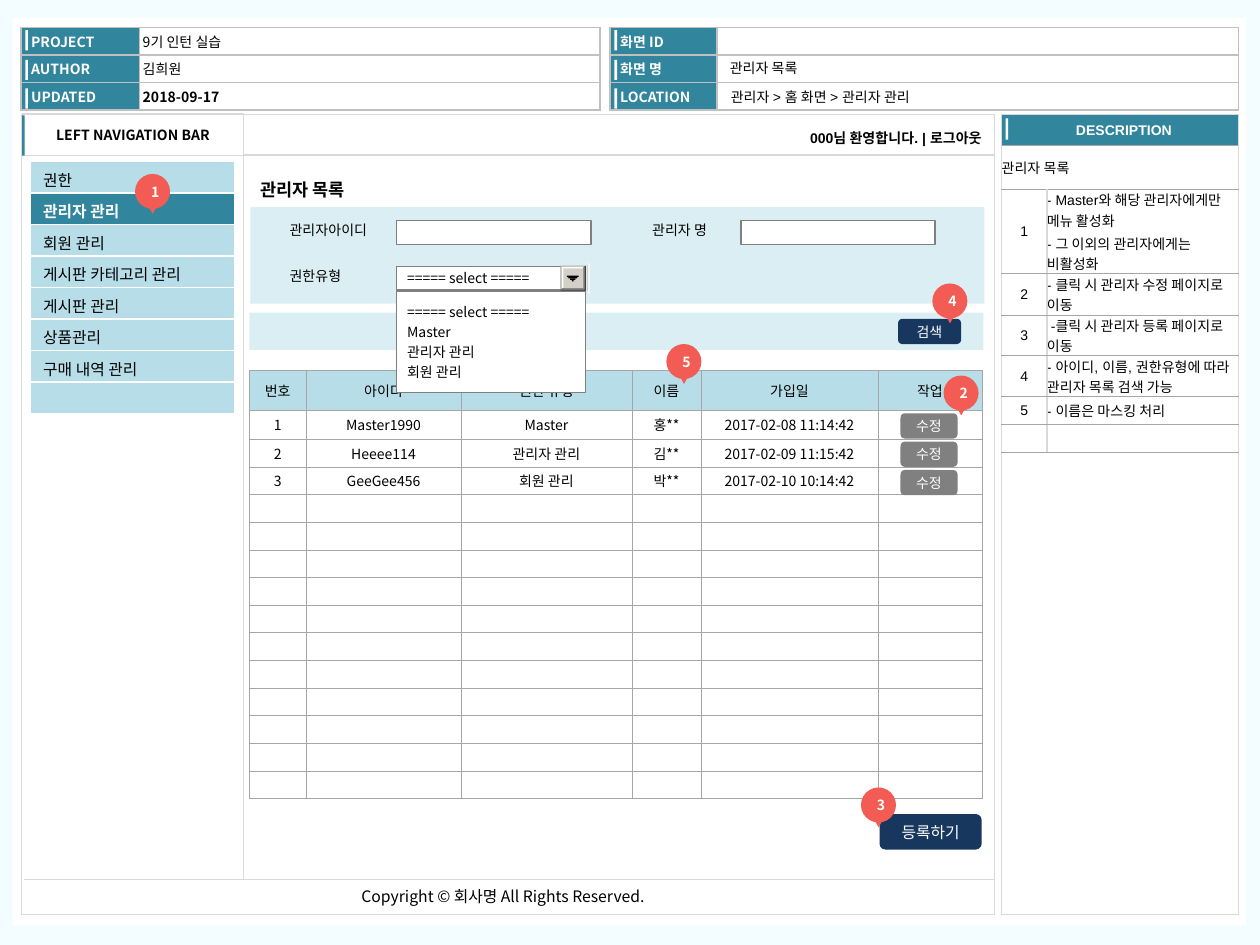
from lxml.etree import SubElement
from pptx import Presentation
from pptx.dml.color import RGBColor
from pptx.enum.shapes import MSO_CONNECTOR as CONN, MSO_SHAPE as SHAPE
from pptx.enum.text import MSO_ANCHOR as ANCHOR, PP_ALIGN as ALIGN
from pptx.oxml.ns import qn
from pptx.util import Pt

NOTO, ARIAL = "Noto Sans CJK KR", "Arial"
TEAL, SKY, PALE, NAVY, RED = "31859C", "B7DEE8", "DBEEF4", "17375E", "F25C54"
WHITE, BLACK, GREY, LIGHT = "FFFFFF", "000000", "808080", "D9D9D9"
SILVER, RULE, FACE, DARK = "C0C0C0", "A6A6A6", "D4D0C8", "404040"


def rgb(color):
    return RGBColor.from_string(color)


def put_text(tf, text, size=8, color=BLACK, bold=False, align=ALIGN.LEFT, font=NOTO, before=0):
    """Fill a text frame, one paragraph for each line of text."""
    for i, line in enumerate(text.split("\n")):
        p = tf.paragraphs[0] if i == 0 else tf.add_paragraph()
        p.alignment = align
        p.space_before = Pt(before)
        r = p.add_run()
        r.text = line
        r.font.name, r.font.size, r.font.bold = font, Pt(size), bold
        r.font.color.rgb = rgb(color)
        SubElement(r.font._element, qn("a:ea"), typeface=NOTO)


def set_margins(obj, left, top, right, bottom):
    obj.margin_left, obj.margin_top = Pt(left), Pt(top)
    obj.margin_right, obj.margin_bottom = Pt(right), Pt(bottom)


def add_shape(shapes, x, y, w, h, fill=None, line=None, kind=SHAPE.RECTANGLE):
    s = shapes.add_shape(kind, Pt(x), Pt(y), Pt(w), Pt(h))
    s.shadow.inherit = False
    if fill:
        s.fill.solid()
        s.fill.fore_color.rgb = rgb(fill)
    else:
        s.fill.background()
    if line:
        s.line.color.rgb = rgb(line)
        s.line.width = Pt(0.75)
    else:
        s.line.fill.background()
    s.text_frame.vertical_anchor = ANCHOR.MIDDLE
    return s


def add_label(shapes, x, y, w, h, text, margins=(7.2, 3.6), wrap=False, **style):
    tf = shapes.add_textbox(Pt(x), Pt(y), Pt(w), Pt(h)).text_frame
    tf.word_wrap = wrap
    set_margins(tf, *margins, *margins)
    put_text(tf, text, **style)


def add_line(shapes, x1, y1, x2, y2, width=1):
    c = shapes.add_connector(CONN.STRAIGHT, Pt(x1), Pt(y1), Pt(x2), Pt(y2))
    c.line.color.rgb = rgb(LIGHT)
    c.line.width = Pt(width)
    SubElement(c._element.spPr, qn("a:effectLst"))


def add_button(shapes, x, y, w, h, text, fill, size=8):
    tf = add_shape(shapes, x, y, w, h, fill, kind=SHAPE.ROUNDED_RECTANGLE).text_frame
    set_margins(tf, 0, 0, 0, 0)
    put_text(tf, text, size, WHITE, align=ALIGN.CENTER)


def add_callout(shapes, x, y, number):
    """Add a numbered red pin."""
    pin = shapes.add_group_shape().shapes
    tf = add_shape(pin, x, y, 20, 20, RED, kind=SHAPE.OVAL).text_frame
    tf.word_wrap = False
    set_margins(tf, 3, 0, 0, 0)
    put_text(tf, str(number), 8, WHITE, True, ALIGN.CENTER)
    add_shape(pin, x + 6.8, y + 17, 6.5, 5.8, RED, kind=SHAPE.ISOSCELES_TRIANGLE).rotation = 180


def add_table(shapes, x, y, cols, rows):
    frame = shapes.add_table(len(rows), len(cols), Pt(x), Pt(y), Pt(sum(cols)), Pt(sum(rows)))
    table = frame.table
    table.first_row = table.horz_banding = False
    for col, width in zip(table.columns, cols):
        col.width = Pt(width)
    for row, height in zip(table.rows, rows):
        row.height = Pt(height)
    return table


def set_cell(cell, text="", fill=None, sides=(SILVER, 1), rules=None, margins=(0, 0, 0, 0), **style):
    """Style a cell; sides and rules are (colour, width) of its upright and level borders."""
    tc_pr = cell._tc.get_or_add_tcPr()
    for tag, (color, width) in zip("LRTB", (sides, sides, rules or sides, rules or sides)):
        ln = SubElement(tc_pr, qn("a:ln" + tag), w=str(Pt(width)))
        SubElement(SubElement(ln, qn("a:solidFill")), qn("a:srgbClr"), val=color)
    if fill:
        cell.fill.solid()
        cell.fill.fore_color.rgb = rgb(fill)
    else:
        cell.fill.background()
    set_margins(cell, *margins)
    cell.vertical_anchor = ANCHOR.MIDDLE
    if text:
        put_text(cell.text_frame, text, **style)
    else:
        cell.text_frame.paragraphs[0]._p.get_or_add_endParaRPr().set("sz", "800")


def add_info(shapes, x, cols, rows):
    """Add a block of project facts with a white tick before each heading."""
    table = add_table(shapes, x, 15.8, cols, [15.7] * 3)
    for i, (heading, value) in enumerate(rows):
        set_cell(table.cell(i, 0), heading, TEAL, margins=(5.8, 0, 2, 0), color=WHITE, bold=True, before=1.6)
        set_cell(table.cell(i, 1), value, WHITE, margins=(2, 0, 2, 0), bold=i == 2, before=1.6)
    for y in (17.3, 34.2, 50.6):
        add_shape(shapes, x + 2.5, y, 1.5, 11.5, WHITE)


def add_navigation(shapes):
    box = add_shape(shapes, 13, 65, 126, 23.8, line=LIGHT)
    put_text(box.text_frame, "LEFT NAVIGATION BAR", bold=True, align=ALIGN.CENTER)
    add_shape(shapes, 12.6, 66, 1.5, 23, TEAL)
    items = ["권한", "관리자 관리", "회원 관리", "게시판 카테고리 관리", "게시판 관리", "상품관리", "구매 내역 관리", ""]
    table = add_table(shapes, 17.5, 92.4, [116.6], [18] * len(items))
    for i, item in enumerate(items):
        active = i == 1
        set_cell(table.cell(i, 0), item, TEAL if active else SKY, (WHITE, 1), margins=(7.2, 2, 7.2, 0),
                 size=9, color=WHITE if active else BLACK, bold=active)


def add_description(shapes):
    x, width = 572.4, 135.4
    edge, rule = (LIGHT, 1), (RULE, 0.5)
    panel = add_table(shapes, x, 65.5, [width], [18, 439])
    set_cell(panel.cell(0, 0), "DESCRIPTION", TEAL, edge, margins=(4.4, 0, 0, 0), color=WHITE, bold=True,
             align=ALIGN.CENTER, font=ARIAL, before=1.6)
    set_cell(panel.cell(1, 0), "", WHITE, edge)
    add_shape(shapes, x + 2.2, 67.7, 1.5, 12.2, WHITE)
    notes = ["- Master와 해당 관리자에게만 메뉴 활성화\n- 그 이외의 관리자에게는 비활성화",
             "- 클릭 시 관리자 수정 페이지로 이동",
             " -클릭 시 관리자 등록 페이지로 이동",
             "- 아이디, 이름, 권한유형에 따라 관리자 목록 검색 가능",
             "- 이름은 마스킹 처리", ""]
    table = add_table(shapes, x, 83, [25.9, 109.5], [25.2, 48, 23.8, 23.4, 23.4, 16, 16])
    table.cell(0, 0).merge(table.cell(0, 1))
    set_cell(table.cell(0, 0), "관리자 목록", WHITE, edge, rule, font=ARIAL, before=1.6)
    for i, note in enumerate(notes, 1):
        set_cell(table.cell(i, 0), str(i) if note else "", WHITE, edge, rule,
                 align=ALIGN.CENTER, font=ARIAL, before=1.6)
        set_cell(table.cell(i, 1), note, WHITE, edge, rule, font=ARIAL, before=1.6)


def add_admin_list(shapes):
    rows = [["번호", "아이디", "권한 유형", "이름", "가입일", "작업"],
            ["1", "Master1990", "Master", "홍**", "2017-02-08 11:14:42", ""],
            ["2", "Heeee114", "관리자 관리", "김**", "2017-02-09 11:15:42", ""],
            ["3", "GeeGee456", "회원 관리", "박**", "2017-02-10 10:14:42", ""]]
    rows += [[""] * 6] * 11
    table = add_table(shapes, 142.5, 211.7, [32.4, 88.6, 97.6, 39.6, 101, 59.6], [22.7, 16.6] + [15.8] * 13)
    for i, row in enumerate(rows):
        for j, text in enumerate(row):
            set_cell(table.cell(i, j), text, None if i else SKY, (RULE, 0.25),
                     align=ALIGN.CENTER, before=1.6 if i else 0)
    for i in range(3):
        add_button(shapes, 514.6, 236.2 + 16.2 * i, 32.6, 14.4, "수정", GREY)


def add_select(shapes):
    """Add the open drop-down with its bevelled arrow button."""
    field = add_shape(shapes, 226.8, 152.4, 108, 13.3, WHITE, GREY)
    options = add_shape(shapes, 226.8, 166.3, 108, 58, WHITE, GREY)
    prompt = "===== select ====="
    for s, text in ((field, prompt), (options, prompt + "\nMaster\n관리자 관리\n회원 관리")):
        set_margins(s.text_frame, 5.8, 0, 5.8, 0)
        put_text(s.text_frame, text, before=1.8)
    bevel = [(336.2, 150.5, 0.8, 17.3, WHITE), (335.4, 151.2, 0.8, 15.1, FACE),
             (320.4, 151.9, 14.4, 14.3, DARK), (320.4, 151.9, 13.6, 13.5, FACE),
             (321.1, 152.6, 12.9, 12.8, GREY), (321.1, 152.6, 12.1, 12, WHITE),
             (321.9, 153.4, 11.3, 11.2, FACE)]
    for x, y, w, h, color in bevel:
        add_shape(shapes, x, y, w, h, color)
    for i, width in enumerate((6.8, 5, 3, 1)):
        add_shape(shapes, 327.3 - width / 2, 157.5 + 0.8 * i, width, 0.9, BLACK)


def add_search(shapes):
    add_shape(shapes, 143, 118.3, 419.5, 55.3, PALE)
    add_shape(shapes, 142.5, 178.7, 419.5, 21.4, PALE)
    for x, y, w, text in ((158.4, 123, 63, "관리자아이디"), (365.6, 123, 50, "관리자 명"), (158.4, 149.2, 47, "권한유형")):
        add_label(shapes, x, y, w, 17, text)
    for x in (226.8, 423.4):
        add_shape(shapes, x, 125.9, 111, 13.7, WHITE, GREY)
    add_select(shapes)
    add_button(shapes, 513.2, 182.2, 36, 14.4, "검색", NAVY)


def main():
    prs = Presentation()
    prs.slide_width, prs.slide_height = Pt(720), Pt(540)
    slide = prs.slides.add_slide(prs.slide_layouts[6])
    slide.background.fill.solid()
    slide.background.fill.fore_color.rgb = rgb("F3FCFF")
    shapes = slide.shapes

    add_shape(shapes, 7.2, 10, 705, 519, WHITE)
    add_info(shapes, 12, [67.6, 263.4], [("PROJECT", "9기 인턴 실습"), ("AUTHOR", "김희원"), ("UPDATED", "2018-09-17")])
    add_info(shapes, 348.6, [61.2, 298], [("화면 ID", ""), ("화면 명", ""), ("LOCATION", "")])
    for x, y, text in ((411.8, 47.5, "관리자 > 홈 화면 > 관리자 관리"), (411.2, 31, "관리자 목록")):
        add_label(shapes, x, y, 209, 14.4, text, (5.8, 2.9), True, font=ARIAL)

    add_shape(shapes, 12.2, 65.5, 556, 457, line=LIGHT)
    add_description(shapes)
    add_line(shapes, 13.7, 502.5, 568.2, 502.5)
    add_label(shapes, 199.4, 503.3, 181.5, 18, "Copyright © 회사명 All Rights Reserved.", size=9)
    add_navigation(shapes)
    add_line(shapes, 139, 65.5, 139, 502.5, 0.75)
    add_line(shapes, 139, 88.6, 568.2, 88.6)
    add_label(shapes, 381, 71.3, 185.8, 16, "000님 환영합니다. | 로그아웃", (5.8, 2.9), True,
              bold=True, align=ALIGN.RIGHT, font=ARIAL)
    add_label(shapes, 141.8, 98.6, 68.4, 19.4, "관리자 목록", size=10, bold=True)
    add_admin_list(shapes)
    add_search(shapes)
    add_button(shapes, 502.6, 465.2, 58.4, 20.3, "등록하기", NAVY, 9)
    pins = [(77.2, 99.4), (539.2, 214.6), (492, 450), (532.8, 162), (380.8, 196.6)]
    for number, (x, y) in enumerate(pins, 1):
        add_callout(shapes, x, y, number)
    prs.save("out.pptx")


if __name__ == "__main__":
    main()
